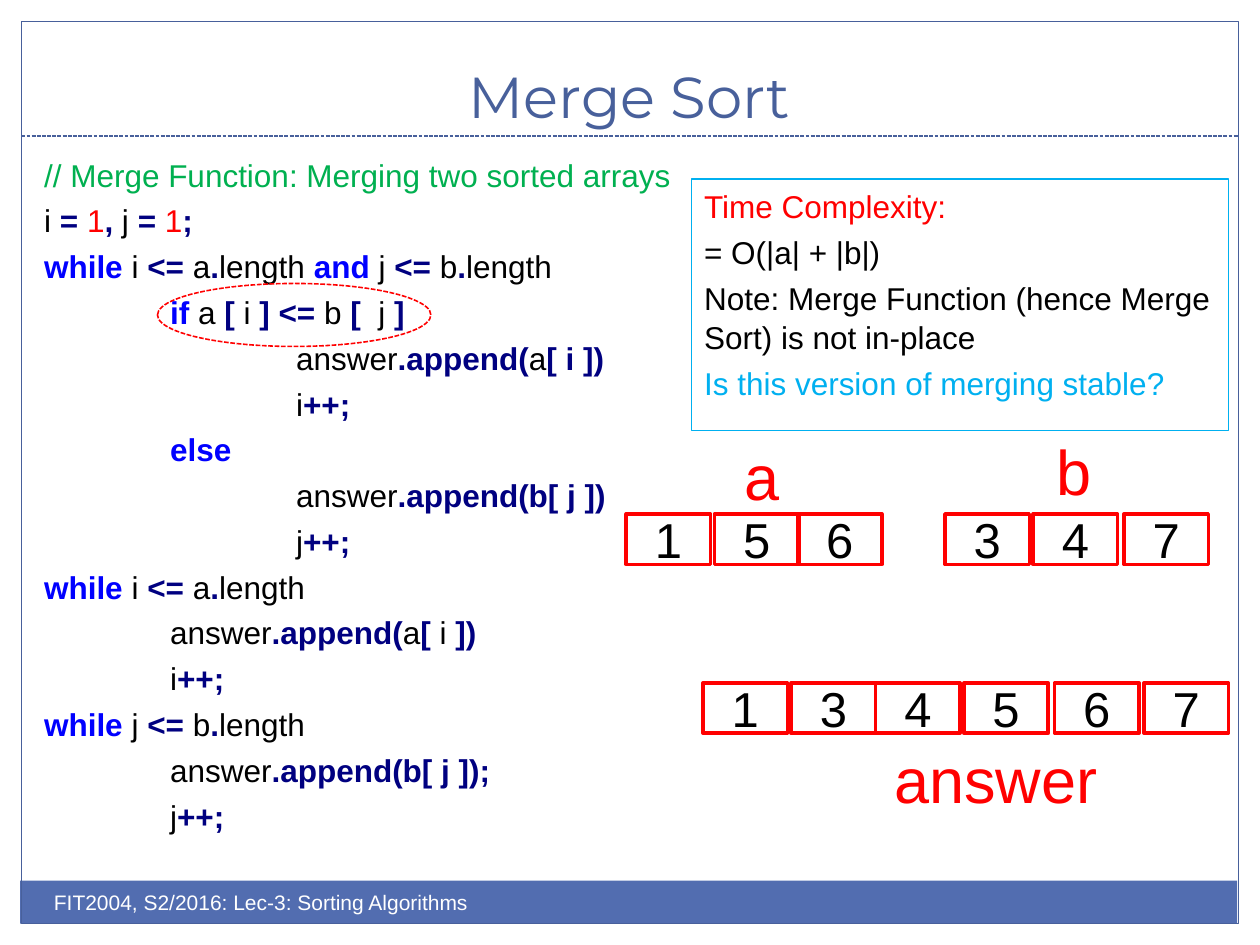
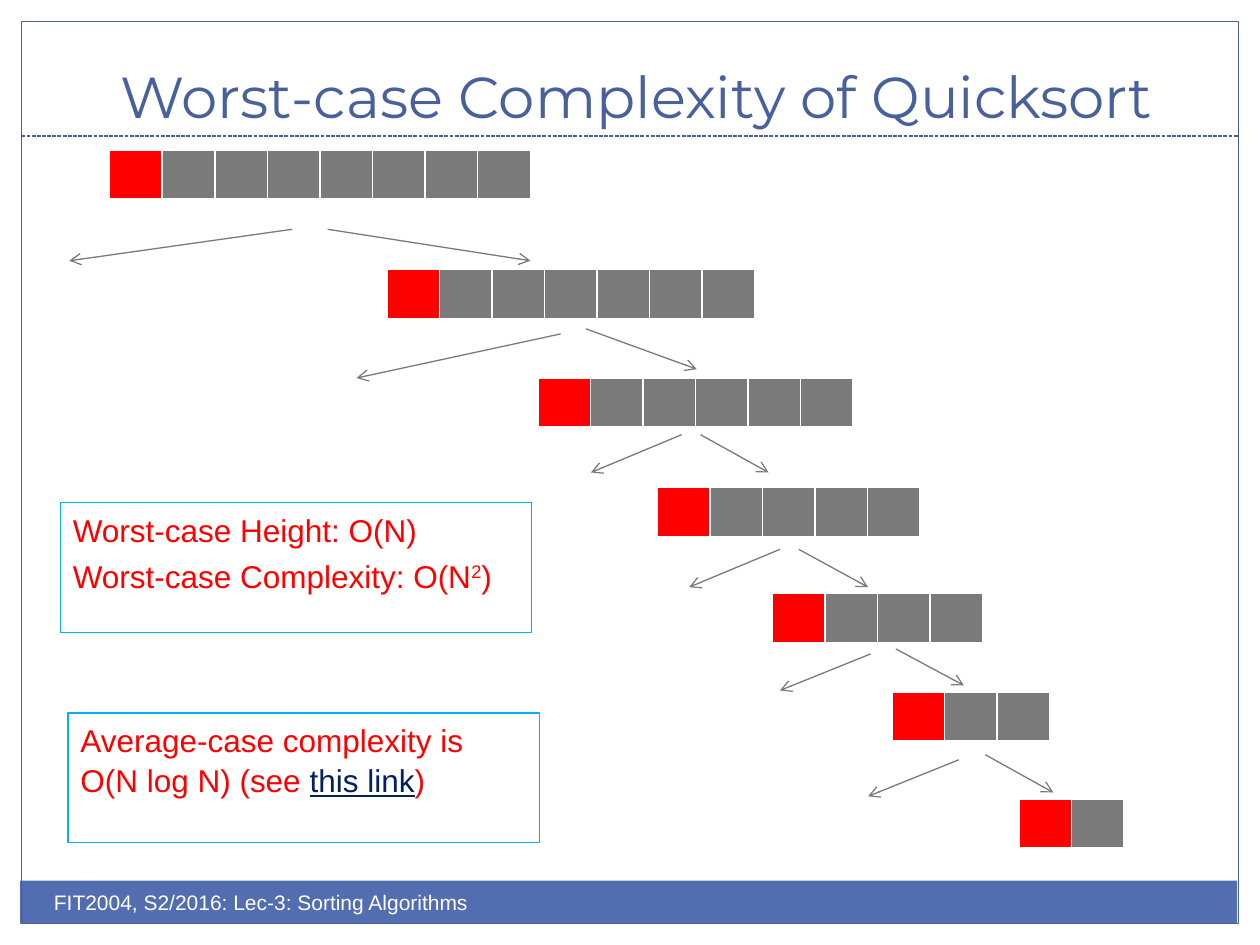
from dataclasses import dataclass
from typing import NamedTuple

from lxml.etree import SubElement
from pptx import Presentation
from pptx.dml.color import RGBColor
from pptx.enum.dml import MSO_LINE
from pptx.enum.shapes import MSO_CONNECTOR, MSO_SHAPE
from pptx.enum.text import MSO_ANCHOR, MSO_AUTO_SIZE, PP_ALIGN
from pptx.oxml import parse_xml
from pptx.oxml.ns import nsdecls, qn
from pptx.util import Emu, Pt

EMU_PER_PX = 9144
INDENT = 100

BLACK = RGBColor(0x00, 0x00, 0x00)
WHITE = RGBColor(0xFF, 0xFF, 0xFF)
RED = RGBColor(0xFF, 0x00, 0x00)
GREEN = RGBColor(0x00, 0xB0, 0x50)
KEYWORD_BLUE = RGBColor(0x00, 0x00, 0xFF)
NAVY = RGBColor(0x00, 0x00, 0x80)
SKY = RGBColor(0x00, 0xB0, 0xF0)
LINK_BLUE = RGBColor(0x00, 0x20, 0x60)
GREY = RGBColor(0x7A, 0x7A, 0x7A)
FRAME_BLUE = RGBColor(0x48, 0x60, 0x9B)
BAND_BLUE = RGBColor(0x52, 0x6D, 0xB0)

BODY_FONT = "Arial"
TITLE_FONT = "Montserrat"
FOOTER = "FIT2004, S2/2016: Lec-3: Sorting Algorithms"


class Box(NamedTuple):
    x: int
    y: int
    w: int
    h: int


class Arrow(NamedTuple):
    x1: int
    y1: int
    x2: int
    y2: int


class Partition(NamedTuple):
    x: int
    y: int
    size: int


class Label(NamedTuple):
    text: str
    box: Box


@dataclass
class Run:
    text: str
    color: RGBColor = BLACK
    bold: bool = False
    underline: bool = False
    superscript: bool = False


@dataclass
class Line:
    runs: list[Run]
    level: int = 0


def px(n: int) -> Emu:
    return Emu(n * EMU_PER_PX)


def place(sp, box: Box) -> None:
    sp.left, sp.top, sp.width, sp.height = map(px, box)


def add_runs(p, runs: list[Run], size: int = 18, font: str = BODY_FONT) -> None:
    for run in runs:
        r = p.add_run()
        r.text = run.text
        r.font.name = font
        r.font.size = Pt(size)
        r.font.bold = run.bold
        r.font.color.rgb = run.color
        if run.underline:
            r.font.underline = True
        if run.superscript:
            r._r.get_or_add_rPr().set("baseline", "30000")


def add_lines(tf, lines: list[Line]) -> None:
    tf.word_wrap = True
    tf.auto_size = MSO_AUTO_SIZE.NONE
    tf.vertical_anchor = MSO_ANCHOR.TOP
    for i, line in enumerate(lines):
        p = tf.add_paragraph() if i else tf.paragraphs[0]
        pPr = p._p.get_or_add_pPr()
        pPr.set("marL", str(px(line.level * INDENT)))
        pPr.set("indent", "0")
        SubElement(pPr, qn("a:buNone"))
        p.alignment = PP_ALIGN.LEFT
        p.line_spacing = 1.05
        p.space_before = Pt(3.5 if i else 0)
        add_runs(p, line.runs)


def add_outline(s, box: Box, color: RGBColor, width: float, kind=MSO_SHAPE.RECTANGLE):
    sp = s.shapes.add_shape(kind, *map(px, box))
    sp.shadow.inherit = False
    sp.fill.background()
    sp.line.color.rgb = color
    sp.line.width = Pt(width)
    return sp


def add_text(s, label: Label, size: int, color: RGBColor, wrap: bool) -> None:
    tf = s.shapes.add_textbox(*map(px, label.box)).text_frame
    tf.word_wrap = wrap
    add_runs(tf.paragraphs[0], [Run(label.text, color)], size)


def add_line(s, ends: Arrow, color: RGBColor):
    cxn = s.shapes.add_connector(MSO_CONNECTOR.STRAIGHT, *map(px, ends))
    cxn.line.color.rgb = color
    cxn.line.width = Pt(0.75)
    SubElement(cxn._element.spPr, qn("a:effectLst"))
    return cxn


def add_arrow(s, ends: Arrow) -> None:
    cxn = add_line(s, ends, GREY)
    SubElement(cxn.line._get_or_add_ln(), qn("a:tailEnd"), type="arrow")


def add_number(s, text: str, x: int, y: int) -> None:
    sp = add_outline(s, Box(x, y, 67, 40), RED, 2)
    tf = sp.text_frame
    tf.vertical_anchor = MSO_ANCHOR.MIDDLE
    p = tf.paragraphs[0]
    p.alignment = PP_ALIGN.CENTER
    add_runs(p, [Run(text)], 28)


def add_note(s, box: Box, lines: list[Line]) -> None:
    add_lines(add_outline(s, box, SKY, 0.75).text_frame, lines)


def add_partition(s, part: Partition) -> None:
    width = part.size * 167 // 4
    table = s.shapes.add_table(1, part.size, *map(px, (part.x, part.y, width, 40))).table
    for i in range(part.size):
        cell = table.cell(0, i)
        cell.margin_top = cell.margin_bottom = 0
        cell.fill.solid()
        cell.fill.fore_color.rgb = GREY if i else RED
        tcPr = cell._tc.get_or_add_tcPr()
        for pos, (side, width_pt) in enumerate((("L", 1), ("R", 1), ("T", 1), ("B", 3))):
            tcPr.insert(pos, parse_xml(
                f'<a:ln{side} {nsdecls("a")} w="{Pt(width_pt)}"><a:solidFill>'
                f'<a:srgbClr val="{WHITE}"/></a:solidFill></a:ln{side}>'))


def add_slide(prs, layout: int, title: str, title_box: Box):
    s = prs.slides.add_slide(prs.slide_layouts[layout])
    band = add_outline(s, Box(16, 699, 966, 34), BAND_BLUE, 0.75)
    band.fill.solid()
    band.fill.fore_color.rgb = BAND_BLUE
    band.line.fill.background()
    add_outline(s, Box(17, 17, 966, 716), FRAME_BLUE, 0.75)
    rule = add_line(s, Arrow(17, 108, 983, 108), FRAME_BLUE)
    rule.line.dash_style = MSO_LINE.SQUARE_DOT
    place(s.shapes.title, title_box)
    tf = s.shapes.title.text_frame
    tf.auto_size = MSO_AUTO_SIZE.NONE
    tf.vertical_anchor = MSO_ANCHOR.BOTTOM
    p = tf.paragraphs[0]
    p.alignment = PP_ALIGN.CENTER
    add_runs(p, [Run(title, FRAME_BLUE)], 33, TITLE_FONT)
    add_text(s, Label(FOOTER, Box(33, 701, 500, 40)), 12, WHITE, True)
    return s


def kw(text: str) -> Run:
    return Run(text, KEYWORD_BLUE, True)


def op(text: str) -> Run:
    return Run(text, NAVY, True)


def bound(index: str, array: str) -> list[Run]:
    return [Run(f"{index} "), op("<="), Run(f" {array}"), op("."), Run("length")]


def while_line(index: str, array: str) -> Line:
    return Line([kw("while"), Run(" "), *bound(index, array)])


def append_line(level: int, *rest: Run) -> Line:
    return Line([Run("answer"), op(".append("), *rest], level)


def increment(level: int, index: str) -> Line:
    return Line([Run(index), op("++;")], level)


MERGE_CODE = [
    Line([Run("// Merge Function: Merging two sorted arrays", GREEN)]),
    Line([Run("i "), op("="), Run(" "), Run("1", RED), op(","),
          Run(" j "), op("="), Run(" "), Run("1", RED), op(";")]),
    Line([*while_line("i", "a").runs, Run(" "), kw("and "), *bound("j", "b")]),
    Line([kw("if"), Run(" a "), op("[ "), Run("i "), op("]"), Run(" "), op("<="),
          Run(" b "), op("[  "), Run("j "), op("]")], 1),
    append_line(2, Run("a"), op("[ i"), Run(" "), op("])")),
    increment(2, "i"),
    Line([kw("else")], 1),
    append_line(2, op("b[ j ])")),
    increment(2, "j"),
    while_line("i", "a"),
    append_line(1, Run("a"), op("[ "), Run("i "), op("])")),
    increment(1, "i"),
    while_line("j", "b"),
    append_line(1, op("b[ j ]);")),
    increment(1, "j"),
]
ARRAYS = [
    ("156", (497, 567, 633), 408),
    ("347", (750, 820, 892), 408),
    ("134567", (558, 628, 695, 765, 837, 908), 542),
]
ARRAY_LABELS = [
    Label("a", Box(581, 342, 48, 71)),
    Label("b", Box(829, 338, 48, 71)),
    Label("answer", Box(700, 583, 183, 71)),
]
COMPLEXITY = [
    Line([Run("Time Complexity:", RED)]),
    Line([Run("= O(|a| + |b|)")]),
    Line([Run("Note: Merge Function (hence Merge Sort) is not in-place")]),
    Line([Run("Is this version of merging stable?", SKY)]),
]
PARTITIONS = [
    Partition(x, y, 8 - depth) for depth, (x, y) in enumerate(
        [(87, 119), (307, 214), (427, 300), (522, 387), (613, 471), (708, 549), (809, 634)])
]
ARROWS = [
    Arrow(232, 182, 55, 207), Arrow(260, 182, 421, 207),
    Arrow(445, 265, 283, 300), Arrow(465, 261, 553, 293),
    Arrow(541, 345, 469, 375), Arrow(556, 345, 610, 375),
    Arrow(619, 436, 547, 466), Arrow(634, 436, 689, 466),
    Arrow(691, 519, 619, 548), Arrow(711, 515, 765, 544),
    Arrow(761, 603, 689, 632), Arrow(782, 599, 836, 629),
]
WORST_CASE = [
    Line([Run("Worst-case Height: O(N)", RED)]),
    Line([Run("Worst-case Complexity: O(N", RED),
          Run("2", RED, superscript=True), Run(")", RED)]),
]
AVERAGE_CASE = [
    Line([Run("Average-case complexity is O(N log N) (see ", RED),
          Run("this link", LINK_BLUE, underline=True), Run(")", RED)]),
]


def build_merge_sort(prs) -> None:
    s = add_slide(prs, 1, "Merge Sort", Box(33, 25, 933, 83))
    body = s.placeholders[1]
    place(body, Box(25, 117, 625, 375))
    add_lines(body.text_frame, MERGE_CODE)
    for digits, lefts, top in ARRAYS:
        for digit, left in zip(digits, lefts):
            add_number(s, digit, left, top)
    for label in ARRAY_LABELS:
        add_text(s, label, 36, RED, False)
    add_note(s, Box(549, 142, 426, 200), COMPLEXITY)
    ring = add_outline(s, Box(125, 225, 217, 50), RED, 0.9, MSO_SHAPE.OVAL)
    ring.line.dash_style = MSO_LINE.SQUARE_DOT


def build_quicksort(prs) -> None:
    s = add_slide(prs, 5, "Worst-case Complexity of Quicksort", Box(42, -17, 926, 125))
    for part in PARTITIONS:
        add_partition(s, part)
    for arrow in ARROWS:
        add_arrow(s, arrow)
    add_note(s, Box(48, 399, 374, 103), WORST_CASE)
    add_note(s, Box(54, 566, 374, 103), AVERAGE_CASE)


def main() -> None:
    prs = Presentation()
    prs.slide_width, prs.slide_height = px(1000), px(750)
    build_merge_sort(prs)
    build_quicksort(prs)
    prs.save("out.pptx")


if __name__ == "__main__":
    main()
